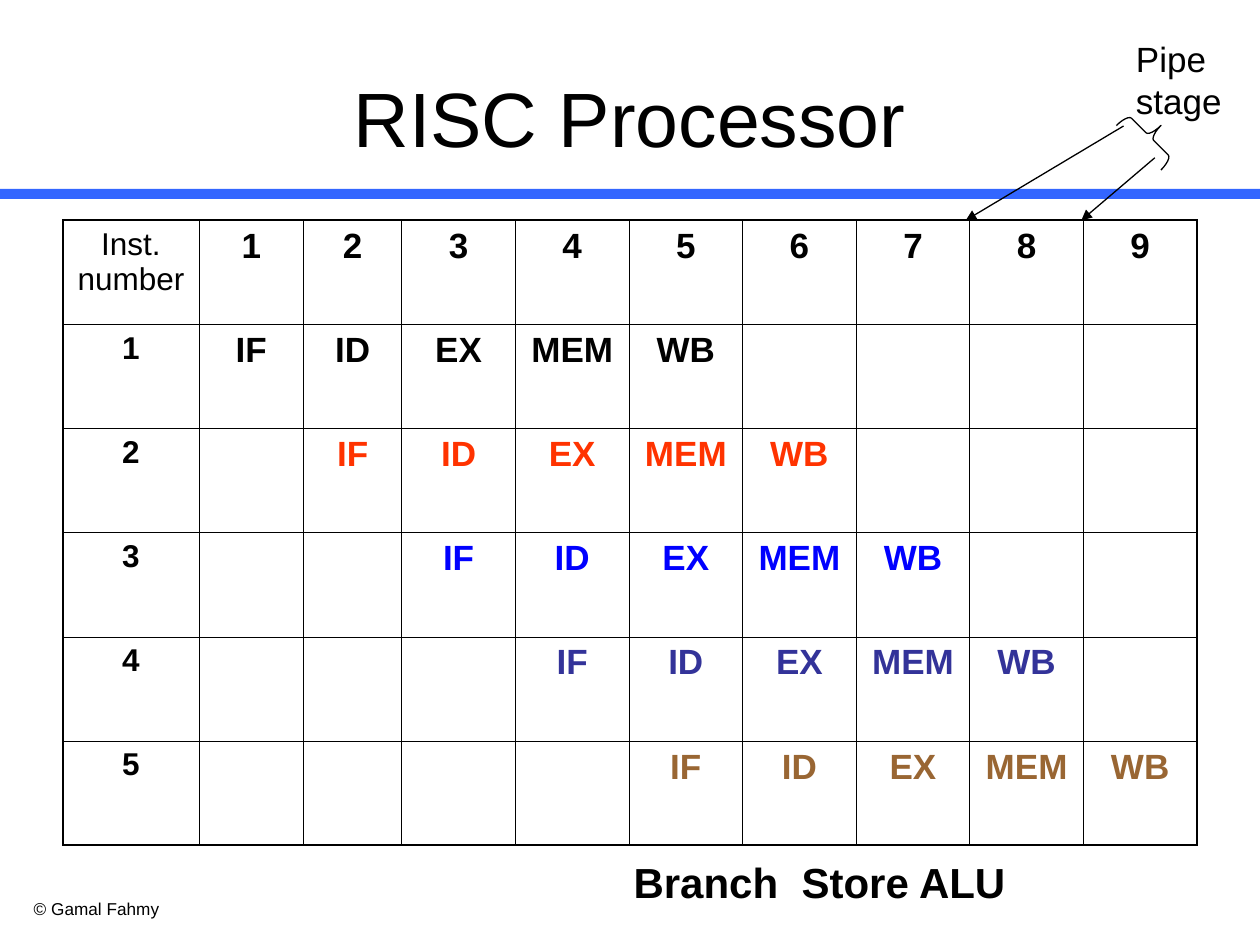
import pptx
import pptx.util
import pptx.dml.color
import pptx.enum.shapes
import pptx.enum.text
import pptx.oxml
import pptx.oxml.ns
from pptx.util import Cm

COLORS = {"black": "000000", "bar": "3366FF", "red": "FF3300",
          "blue": "0000FF", "indigo": "333399", "brown": "996633"}
FONT = "Arial"
STAGES = ["IF", "ID", "EX", "MEM", "WB"]
INSTRUCTION_COLORS = ["black", "red", "blue", "indigo", "brown"]
CYCLES = 9
COL_WIDTHS = [2.74, 2.11, 1.98] + [2.29] * 7
ROW_HEIGHT = 2.1
INNER, OUTER = 0.45, 1.08
LEFT = pptx.enum.text.PP_ALIGN.LEFT
CENTER = pptx.enum.text.PP_ALIGN.CENTER


def rgb(name):
    """Return the named palette colour."""
    return pptx.dml.color.RGBColor.from_string(COLORS[name])


def add_run(p, text, size, color="black", bold=False):
    """Append a formatted run to a paragraph."""
    r = p.add_run()
    r.text = text
    r.font.name = FONT
    r.font.size = pptx.util.Pt(size)
    r.font.bold = bold
    r.font.color.rgb = rgb(color)
    return r


def add_textbox(s, x, y, w, h, align=LEFT, middle=False):
    """Add a wrapping text box and return its first paragraph."""
    tf = s.shapes.add_textbox(Cm(x), Cm(y), Cm(w), Cm(h)).text_frame
    tf.word_wrap = True
    if middle:
        tf.vertical_anchor = pptx.enum.text.MSO_ANCHOR.MIDDLE
    p = tf.paragraphs[0]
    p.alignment = align
    return p


def add_bar(s):
    """Add the blue rule under the title."""
    sp = s.shapes.add_shape(pptx.enum.shapes.MSO_SHAPE.RECTANGLE,
                            Cm(0), Cm(3.81), Cm(25.4), Cm(0.2))
    sp.shadow.inherit = False
    sp.fill.solid()
    sp.fill.fore_color.rgb = rgb("bar")
    sp.line.fill.background()


def add_brace(s):
    """Add the tilted brace below the pipe stage label."""
    sp = s.shapes.add_shape(pptx.enum.shapes.MSO_SHAPE.RIGHT_BRACE,
                            Cm(22.86), Cm(2.12), Cm(0.64), Cm(1.27))
    sp.shadow.inherit = False
    sp.rotation = 315
    sp.adjustments[0] = 0.17
    sp.fill.background()
    sp.line.color.rgb = rgb("black")
    sp.line.width = pptx.util.Pt(0.75)


def add_arrow(s, x1, y1, x2, y2):
    """Add a thin line with an arrowhead at its end."""
    sp = s.shapes.add_connector(pptx.enum.shapes.MSO_CONNECTOR.STRAIGHT,
                                Cm(x1), Cm(y1), Cm(x2), Cm(y2))
    sp.line.color.rgb = rgb("black")
    sp.line.width = pptx.util.Pt(0.75)
    ln = sp.line._get_or_add_ln()
    ln.append(pptx.oxml.parse_xml(
        f'<a:tailEnd {pptx.oxml.ns.nsdecls("a")} type="triangle"/>'))
    sp._element.spPr.append(pptx.oxml.parse_xml(
        f'<a:effectLst {pptx.oxml.ns.nsdecls("a")}/>'))


def set_borders(cell, widths):
    """Draw the left, right, top and bottom borders of a cell."""
    tcPr = cell._tc.get_or_add_tcPr()
    for i, (side, width) in enumerate(zip("LRTB", widths)):
        tcPr.insert(i, pptx.oxml.parse_xml(
            f'<a:ln{side} {pptx.oxml.ns.nsdecls("a")} w="{pptx.util.Pt(width)}">'
            f'<a:solidFill><a:srgbClr val="{COLORS["black"]}"/></a:solidFill>'
            f'</a:ln{side}>'))


def cell_content(row, col):
    """Return text, size, colour and weight for a pipeline cell."""
    if row == 0:
        return ("Inst. number", 18, "black", False) if col == 0 else (str(col), 20, "black", True)
    if col == 0:
        return str(row), 18, "black", True
    stage = col - row
    text = STAGES[stage] if 0 <= stage < len(STAGES) else ""
    return text, 20, INSTRUCTION_COLORS[row - 1], True


def add_pipeline_table(s):
    """Add the table in which each instruction starts one cycle later."""
    rows, cols = len(INSTRUCTION_COLORS) + 1, CYCLES + 1
    table = s.shapes.add_table(rows, cols, Cm(1.27), Cm(4.44),
                               Cm(sum(COL_WIDTHS)), Cm(rows * ROW_HEIGHT)).table
    table.first_row = table.horz_banding = False
    for col, width in enumerate(COL_WIDTHS):
        table.columns[col].width = Cm(width)
    for row in range(rows):
        table.rows[row].height = Cm(ROW_HEIGHT)
        for col in range(cols):
            cell = table.cell(row, col)
            cell.fill.background()
            edges = (col == 0, col == cols - 1, row == 0, row == rows - 1)
            set_borders(cell, [OUTER if edge else INNER for edge in edges])
            text, size, color, bold = cell_content(row, col)
            if text:
                p = cell.text_frame.paragraphs[0]
                p.alignment = CENTER
                add_run(p, text, size, color, bold)


def add_instruction_types(s):
    """Add the instruction type caption with a widened first gap."""
    p = add_textbox(s, 9.32, 17.14, 14.4, 1.27, CENTER)
    add_run(p, "Branch", 24, bold=True)
    gap = add_run(p, " ", 24, bold=True)
    gap.font._element.set("spc", "670")
    add_run(p, "Store ALU", 24, bold=True)


def main():
    """Build the slide and save it."""
    prs = pptx.Presentation()
    prs.slide_width, prs.slide_height = Cm(25.4), Cm(19.05)
    s = prs.slides.add_slide(prs.slide_layouts[6])
    add_bar(s)
    add_run(add_textbox(s, 0.43, 17.98, 5.5, 0.69), "© Gamal Fahmy", 9.8)
    add_run(add_textbox(s, 1.27, 0.76, 22.86, 3.18, CENTER, True), "RISC Processor", 44)
    add_pipeline_table(s)
    add_run(add_textbox(s, 22.65, 0.64, 2.34, 1.96), "Pipe stage", 20)
    add_arrow(s, 22.65, 2.54, 19.47, 4.44)
    add_arrow(s, 23.28, 3.18, 21.8, 4.44)
    add_brace(s)
    add_instruction_types(s)
    prs.save("out.pptx")


if __name__ == "__main__":
    main()
